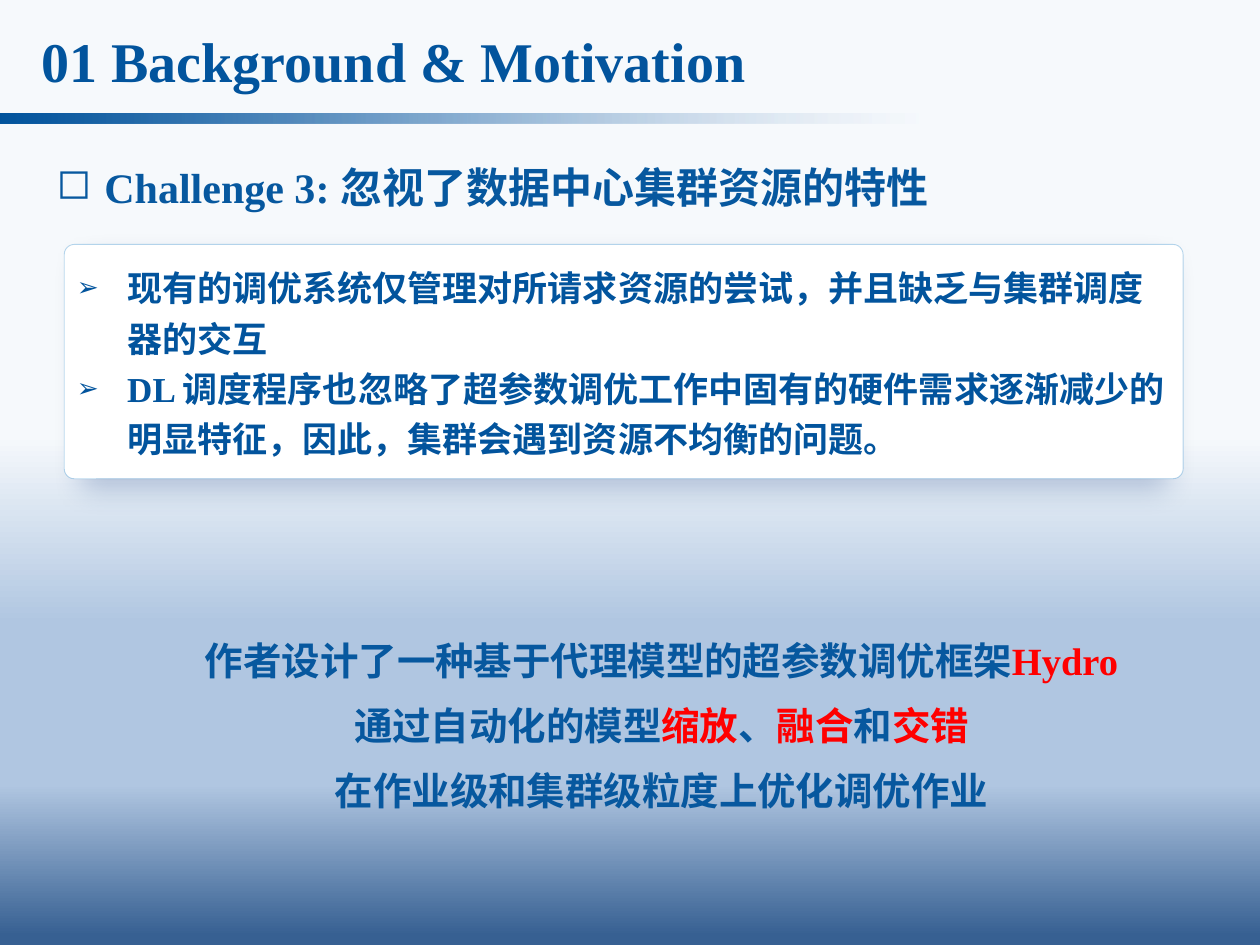
from lxml import etree
from pptx import Presentation
from pptx import util as u
from pptx.dml.color import RGBColor
from pptx.enum import shapes, text
from pptx.oxml import ns

COLORS = {"navy": "02549D", "blue": "07589F", "red": "FF0000", "white": "FFFFFF",
          "pale": "F6F9FC", "mist": "B0C6E1", "deep": "376092", "fade": "CAD9EB",
          "edge": "0070C0", "shade": "063078", "arrow": "093581"}
ALIGN = text.PP_ALIGN


def rgb(name):
    return RGBColor.from_string(COLORS[name])


def add(parent, tag, **attrs):
    return etree.SubElement(parent, ns.qn(tag), {k: str(v) for k, v in attrs.items()})


def tint(parent, name, alpha=100):
    node = add(parent, "a:srgbClr", val=COLORS[name])
    if alpha < 100:
        add(node, "a:alpha", val=alpha * 1000)


def apply(item, values):
    for key, value in values.items():
        setattr(item, key, value)


def curve(p, a, b, q, steps=12):
    points = []
    for i in range(1, steps + 1):
        t = i / steps
        s = 1 - t
        points.append(tuple(s**3 * p[k] + 3 * s * s * t * a[k] + 3 * s * t * t * b[k] + t**3 * q[k]
                            for k in (0, 1)))
    return points


class Deck:
    font = "Times New Roman"

    def __init__(self):
        self.prs = Presentation()
        apply(self.prs, {"slide_width": u.Inches(10), "slide_height": u.Inches(7.5)})
        self.slide = self.prs.slides.add_slide(self.prs.slide_layouts[1])
        self.shapes = self.slide.shapes

    def blend(self, fill, root, stops, angle):
        fill.gradient()
        fill.gradient_angle = -angle % 360
        group = root.find(".//" + ns.qn("a:gsLst"))
        for old in list(group):
            group.remove(old)
        for pos, name, alpha in stops:
            tint(add(group, "a:gs", pos=pos * 1000), name, alpha)

    def back(self, stops):
        self.blend(self.slide.background.fill, self.slide.element, stops, 90)

    def shape(self, kind, box):
        item = self.shapes.add_shape(kind, *map(u.Inches, box))
        item.shadow.inherit = False
        return item

    def bar(self, box, stops):
        item = self.shape(shapes.MSO_SHAPE.RECTANGLE, box)
        item.line.fill.background()
        self.blend(item.fill, item.element, stops, 0)

    def card(self, box):
        item = self.shape(shapes.MSO_SHAPE.ROUNDED_RECTANGLE, box)
        item.adjustments[0] = 0.043
        item.fill.solid()
        item.fill.fore_color.rgb = rgb("white")
        item.line.width = u.Pt(0.5)
        item.line.color.rgb = rgb("edge")
        edge = item.element.spPr.find(".//" + ns.qn("a:ln") + "//" + ns.qn("a:srgbClr"))
        add(edge, "a:alpha", val=28000)
        glow = add(item.element.spPr.find(ns.qn("a:effectLst")), "a:outerShdw",
                   blurRad=u.Pt(16), dist=u.Pt(7), dir=5400000, sx=97000, sy=97000,
                   algn="ctr", rotWithShape=0)
        tint(glow, "shade", 23)

    def arrow(self, start, points, stops):
        pen = self.shapes.build_freeform(*start, scale=u.Inches(1))
        pen.add_line_segments(points, close=True)
        item = pen.convert_to_shape()
        item.shadow.inherit = False
        item.line.fill.background()
        self.blend(item.fill, item.element, stops, 90)

    def holder(self, idx, box, *args, **style):
        item = self.slide.placeholders[idx]
        self.shapes.element.append(item.element)
        self.set_text(item, box, *args, **style)

    def label(self, box, *args, **style):
        self.set_text(self.shapes.add_textbox(0, 0, 0, 0), box, *args, **style)

    def set_text(self, item, box, lines, size, mark=None, scale=100, hang=0,
                 anchor=text.MSO_ANCHOR.TOP, gap=0, **style):
        apply(item, dict(zip(("left", "top", "width", "height"), map(u.Inches, box))))
        frame = item.text_frame
        apply(frame, {"word_wrap": True, "auto_size": text.MSO_AUTO_SIZE.NONE,
                      "vertical_anchor": anchor})
        for i, runs in enumerate(lines):
            para = frame.add_paragraph() if i else frame.paragraphs[0]
            if mark:
                props = para._p.get_or_add_pPr()
                props.set("marL", str(u.Inches(hang)))
                props.set("indent", str(-u.Inches(hang)))
                add(props, "a:buSzPct", val=scale * 1000)
                add(props, "a:buChar", char=mark)
            apply(para, {"space_before": u.Pt(gap if i else 0), **style})
            for words, color in runs:
                run = para.add_run()
                run.text = words
                apply(run.font, {"name": self.font, "size": u.Pt(size), "bold": True})
                run.font.color.rgb = rgb(color)


def main():
    deck = Deck()
    deck.back([(46, "pale", 100), (66, "mist", 100), (83, "mist", 100), (99, "deep", 100)])
    for _ in range(2):
        deck.bar((0, 0.9, 7.94, 0.08), [(0, "navy", 100), (92, "fade", 0)])
    deck.holder(0, (0.23, 0.1, 8.96, 0.82), [[("01 Background & Motivation", "navy")]], 32,
                anchor=text.MSO_ANCHOR.MIDDLE, alignment=ALIGN.JUSTIFY, line_spacing=0.9)
    deck.label((1.27, 5.01, 7.96, 1.69), [
        [("作者设计了一种基于代理模型的超参数调优框架", "blue"), ("Hydro", "red")],
        [("通过自动化的模型", "blue"), ("缩放", "red"), ("、", "blue"), ("融合", "red"),
         ("和", "blue"), ("交错", "red")],
        [("在作业级和集群级粒度上优化调优作业", "blue")],
    ], 22, gap=10.6, alignment=ALIGN.CENTER)
    deck.label((0.35, 1.03, 9.65, 0.71),
               [[("Challenge 3: 忽视了数据中心集群资源的特性", "blue")]], 24,
               mark="◻", hang=0.38, line_spacing=1.5)
    deck.card((0.51, 1.94, 8.88, 1.86))
    deck.holder(1, (0.51, 2, 8.88, 1.62), [
        [("现有的调优系统仅管理对所请求资源的尝试，并且缺乏与集群调度器的交互", "navy")],
        [("DL 调度程序也忽略了超参数调优工作中固有的硬件需求逐渐减少的明显特征，"
          "因此，集群会遇到资源不均衡的问题。", "navy")],
    ], 20, mark="➢", scale=75, hang=0.4, line_spacing=1.2)
    mid = 4.87
    side = curve((5.58, 4.15), (5.31, 4.2), (5.09, 4.32), (5.02, 4.47))
    half = [(5.6, 4.14), (5.58, 4.15), *side, (5.01, 4.48), (5.18, 4.48)]
    mirror = [(2 * mid - x, y) for x, y in reversed(half)]
    deck.arrow((mid, 4.14), half + [(mid, 4.63)] + mirror,
               [(16, "arrow", 0), (100, "arrow", 55)])
    deck.prs.save("out.pptx")


if __name__ == "__main__":
    main()
